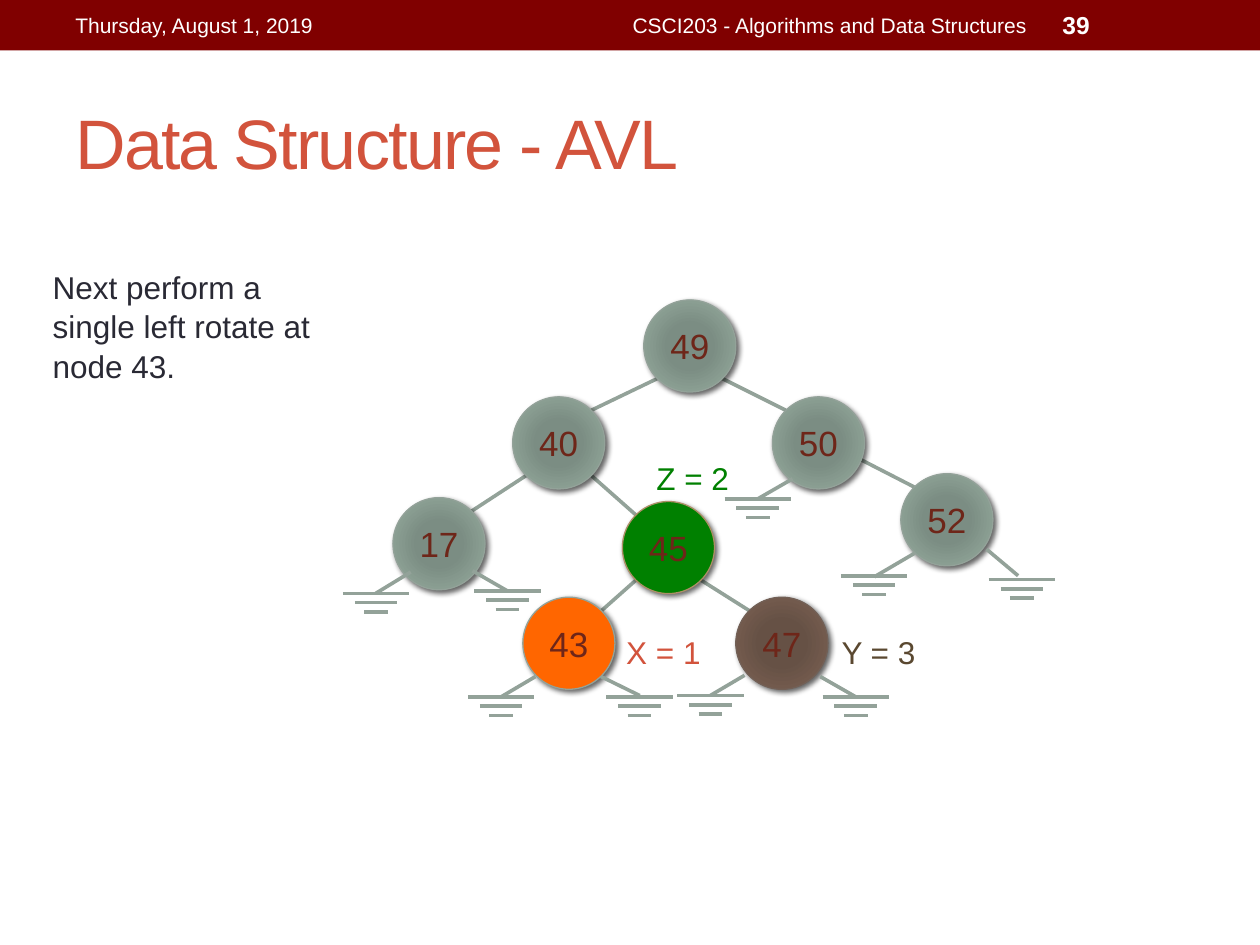
from lxml import etree
from pptx import Presentation
from pptx.dml.color import RGBColor
from pptx.enum.shapes import MSO_CONNECTOR, MSO_SHAPE
from pptx.enum.text import MSO_ANCHOR, PP_ALIGN
from pptx.oxml import parse_xml
from pptx.oxml.ns import qn
from pptx.util import Pt

STRAIGHT = MSO_CONNECTOR.STRAIGHT
OVAL, RECTANGLE = MSO_SHAPE.OVAL, MSO_SHAPE.RECTANGLE
TOP, MIDDLE = MSO_ANCHOR.TOP, MSO_ANCHOR.MIDDLE
LEFT, CENTER, RIGHT = PP_ALIGN.LEFT, PP_ALIGN.CENTER, PP_ALIGN.RIGHT

WHITE = RGBColor(0xFF, 0xFF, 0xFF)
MAROON = RGBColor(0x80, 0x00, 0x00)
RED = RGBColor(0xD2, 0x53, 0x3C)
INK = RGBColor(0x29, 0x29, 0x34)
NUMBER = RGBColor(0x6E, 0x26, 0x19)
SAGE = RGBColor(0x93, 0xA2, 0x99)
TAN = RGBColor(0xAD, 0x8F, 0x67)
BROWN = RGBColor(0x72, 0x60, 0x56)
DARK_BROWN = RGBColor(0x5A, 0x48, 0x30)
GREEN = RGBColor(0x00, 0x80, 0x00)
ORANGE = RGBColor(0xFF, 0x66, 0x00)
SAGE_STOPS = [(0, "7B8E82"), (34, "7B8D83"), (70, "8A9E92"), (100, "93A299")]
BROWN_STOPS = [(0, "685044"), (34, "665145"), (70, "725A4D"), (100, "726056")]

FONT = "Arial"
DRAWING_NS = 'xmlns:a="http://schemas.openxmlformats.org/drawingml/2006/main"'

# text, (left, top, width, height), size, colour, anchor, alignment
HEADINGS = [
    ("Data Structure - AVL", (36, 41.8, 648, 77.8), 40, RED, MIDDLE, LEFT),
    ("Thursday, August 1, 2019", (36, 1.4, 228.2, 26), 12, WHITE, MIDDLE, LEFT),
    ("CSCI203 - Algorithms and Data Structures", (270, 1.4, 324, 26), 12, WHITE, MIDDLE, RIGHT),
    ("39", (600, 1.4, 84, 26), 14, WHITE, MIDDLE, LEFT),
]
NOTES = [
    ("Next perform a single left rotate at node 43.", (23, 148.3, 179.3, 72.7), INK),
    ("X = 1", (350.8, 357.1, 57.6, 28.8), RED),
    ("Y = 3", (473.8, 357.1, 57.6, 28.8), DARK_BROWN),
    ("Z = 2", (368, 257.8, 57.6, 28.8), GREEN),
]

# key: left, top, fill (colour or gradient stops), outline
NODES = {
    52: (514.8, 270.7, SAGE_STOPS, SAGE),
    17: (224.6, 284.4, SAGE_STOPS, SAGE),
    50: (441.4, 226.8, SAGE_STOPS, SAGE),
    49: (367.9, 171.4, SAGE_STOPS, SAGE),
    40: (293, 226.8, SAGE_STOPS, SAGE),
    45: (355.7, 286.6, GREEN, TAN),
    47: (420.5, 341.3, BROWN_STOPS, BROWN),
    43: (298.8, 341.3, ORANGE, SAGE),
}
DIAMETER = 52.6
# parent, child, shift of the line's start
EDGES = [
    (49, 40, (0, 0)), (49, 50, (0, 0)), (40, 17, (0, 0)), (40, 45, (0, 0)),
    (50, 52, (-4, -14)), (45, 43, (0, 0)), (45, 47, (0, 0)),
]
# lead start, lead end, middle of the widest bar
GROUNDS = [
    ((234.7, 326.9), (214.7, 339.1), (214.9, 339.1)),
    ((270, 326.2), (290, 337.7), (290, 337.7)),
    ((452.9, 273.6), (433, 285.1), (433, 285.1)),
    ((522.7, 316.1), (499.7, 329.6), (499.5, 329.1)),
    ((563.8, 313.9), (581.8, 329), (583.9, 331.2)),
    ((306, 386.6), (286.4, 398.2), (286.4, 398.2)),
    ((343.4, 386.6), (365.6, 397.5), (365.5, 398.2)),
    ((425.5, 385.9), (406, 397.4), (406, 397.4)),
    ((468.7, 386.6), (489, 398.2), (489, 398.2)),
]
BAR_WIDTHS = [37.9, 24.3, 13.6]
BAR_STEP = 5.3


def write(frame, text, size, color, anchor, align):
    frame.text = text
    frame.vertical_anchor = anchor
    para = frame.paragraphs[0]
    para.alignment = align
    font = para.runs[0].font
    font.name, font.size = FONT, Pt(size)
    font.color.rgb = color
    return para


def add_text(page, text, bounds, size, color, anchor=TOP, align=LEFT):
    box = page.shapes.add_textbox(*map(Pt, bounds))
    box.text_frame.word_wrap = True
    return write(box.text_frame, text, size, color, anchor, align)


def add_line(page, start, end):
    line = page.shapes.add_connector(STRAIGHT, *map(Pt, (*start, *end)))
    line.line.color.rgb = SAGE
    line.line.width = Pt(2.08)
    etree.SubElement(line._element.spPr, qn("a:effectLst"))


def radial_fill(stops):
    stop_xml = "".join(
        f'<a:gs pos="{place * 1000}"><a:srgbClr val="{color}"/></a:gs>'
        for place, color in stops)
    return parse_xml(
        f'<a:gradFill {DRAWING_NS} rotWithShape="1"><a:gsLst>{stop_xml}</a:gsLst>'
        '<a:path path="circle"><a:fillToRect l="100000" t="100000" r="100000" '
        'b="100000"/></a:path></a:gradFill>')


def drop_shadow():
    return parse_xml(
        f'<a:effectLst {DRAWING_NS}><a:outerShdw blurRad="{Pt(3)}" dist="{Pt(2)}" '
        'dir="2700000" algn="ctr" rotWithShape="0"><a:srgbClr val="000000">'
        '<a:alpha val="60000"/></a:srgbClr></a:outerShdw></a:effectLst>')


def add_node(page, key, left, top, fill, outline):
    node = page.shapes.add_shape(OVAL, Pt(left), Pt(top), Pt(DIAMETER), Pt(DIAMETER))
    node.line.color.rgb = outline
    node.line.width = Pt(0.75)
    properties = node._element.spPr
    if isinstance(fill, RGBColor):
        node.fill.solid()
        node.fill.fore_color.rgb = fill
    else:
        properties.find(qn("a:prstGeom")).addnext(radial_fill(fill))
    properties.append(drop_shadow())
    frame = node.text_frame
    frame.margin_left = frame.margin_right = 0
    write(frame, str(key), 20, NUMBER, MIDDLE, CENTER)


def diagonal_point(key, right, down):
    """Point on a node's rim at 45 degrees; right and down are 1 or -1."""
    radius = DIAMETER / 2
    left, top = NODES[key][:2]
    reach = radius * 0.71
    return left + radius + right * reach, top + radius + down * reach


def add_edge(page, parent, child, shift):
    side = 1 if NODES[child][0] > NODES[parent][0] else -1
    x, y = diagonal_point(parent, side, 1)
    add_line(page, (x + shift[0], y + shift[1]), diagonal_point(child, -side, -1))


def add_ground(page, start, end, middle):
    add_line(page, start, end)
    for row, width in enumerate(BAR_WIDTHS):
        y = middle[1] + row * BAR_STEP
        add_line(page, (middle[0] - width / 2, y), (middle[0] + width / 2, y))


def main():
    deck = Presentation()
    deck.slide_width, deck.slide_height = Pt(720), Pt(540)
    page = deck.slides.add_slide(deck.slide_layouts[6])

    band = page.shapes.add_shape(RECTANGLE, 0, 0, Pt(720), Pt(28.8))
    band.shadow.inherit = False
    band.fill.solid()
    band.fill.fore_color.rgb = MAROON
    band.line.fill.background()

    title, _, _, number = [add_text(page, *heading) for heading in HEADINGS]
    title.runs[0].font._element.set("spc", "-100")
    number.runs[0].font.bold = True

    for edge in EDGES:
        add_edge(page, *edge)
    for key, node in NODES.items():
        add_node(page, key, *node)
    for ground in GROUNDS:
        add_ground(page, *ground)
    for text, bounds, color in NOTES:
        add_text(page, text, bounds, 18, color).line_spacing = 1.05

    deck.save("out.pptx")


if __name__ == "__main__":
    main()
